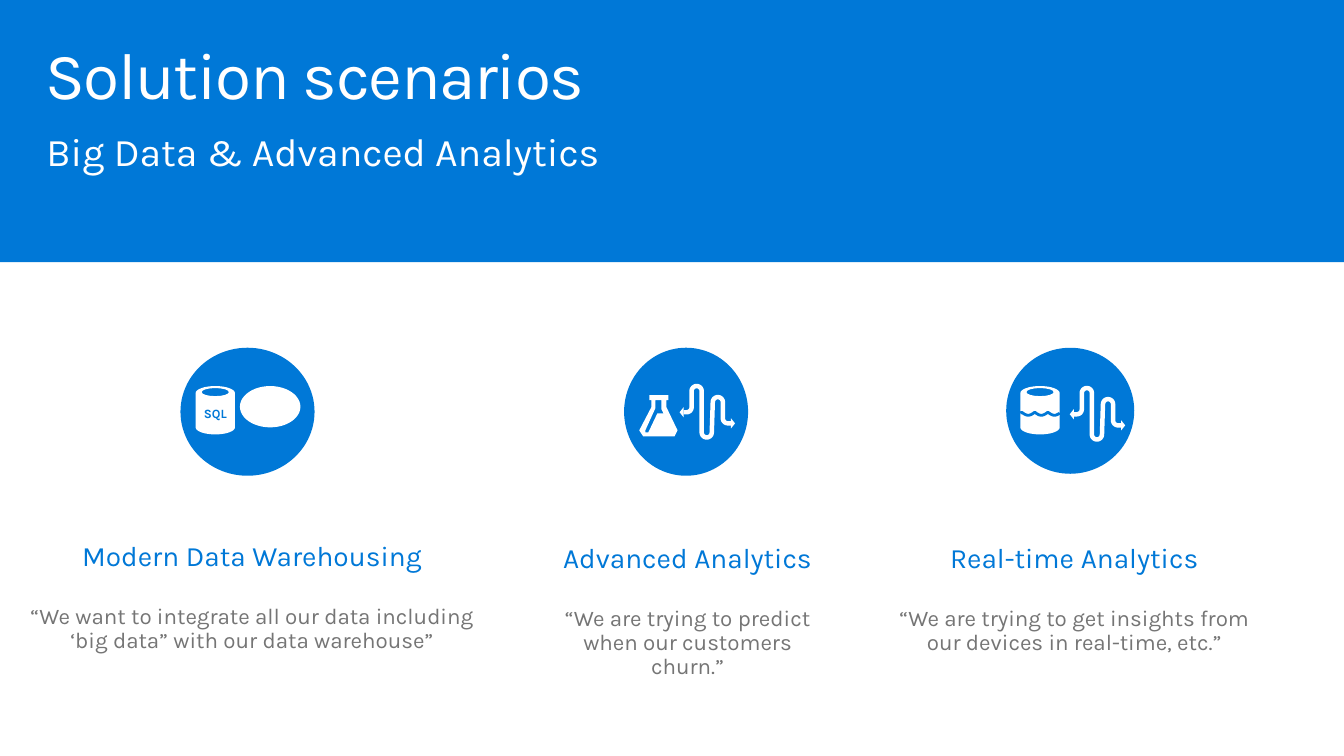
from math import cos, pi, radians, sin

from lxml.etree import SubElement
from pptx import Presentation
from pptx.dml.color import RGBColor
from pptx.enum.shapes import MSO_SHAPE
from pptx.enum.text import MSO_ANCHOR, MSO_AUTO_SIZE, PP_ALIGN
from pptx.oxml.ns import qn
from pptx.util import Inches, Pt

FONT = "Karla"
BLUE, WHITE, GRAY = "0078D7", "FFFFFF", "757575"
BADGE_TOP, BADGE_MIDDLE = 3.45, 0.38


def paint(color_format, color):
    color_format.rgb = RGBColor.from_string(color)


def add_preset(slide, preset, box, color):
    shape = slide.shapes.add_shape(preset, *map(Inches, box))
    shape.shadow.inherit = False
    shape.fill.solid()
    paint(shape.fill.fore_color, color)
    shape.line.fill.background()
    return shape


def arc(center_x, center_y, radius_x, radius_y, start, end, steps=16):
    """Points along an arc; angles in degrees, clockwise from the right."""
    angles = [radians(start + (end - start) * i / steps) for i in range(steps + 1)]
    return [(center_x + radius_x * cos(a), center_y + radius_y * sin(a)) for a in angles]


def add_outline(slide, left, top, contours, fill=None, line=None, weight=0):
    """Filled contours (inner ones are holes), or an open line without fill."""
    builder = None
    for contour in contours:
        points = [(Inches(x), Inches(y)) for x, y in contour]
        if builder is None:
            builder = slide.shapes.build_freeform(*points[0])
        else:
            builder.move_to(*points[0])
        builder.add_line_segments(points[1:], close=fill is not None)
    shape = builder.convert_to_shape(Inches(left), Inches(top))
    shape.shadow.inherit = False
    if fill:
        shape.fill.solid()
        paint(shape.fill.fore_color, fill)
        shape.line.fill.background()
    else:
        shape.fill.background()
        paint(shape.line.color, line)
        shape.line.width = Pt(weight)
    return shape


def add_cylinder(slide, left, top):
    body = arc(0.195, 0.07, 0.195, 0.07, 180, 360) + arc(0.195, 0.41, 0.195, 0.07, 0, 180)
    lid = arc(0.195, 0.06, 0.135, 0.04, 0, 360)
    return add_outline(slide, left, top, [body, lid], fill=WHITE)


def add_sql_database(slide, left, top):
    frame = add_cylinder(slide, left, top).text_frame
    frame.margin_left = frame.margin_right = frame.margin_bottom = 0
    frame.margin_top = Inches(0.06)
    frame.word_wrap = False
    frame.vertical_anchor = MSO_ANCHOR.MIDDLE
    paragraph = frame.paragraphs[0]
    paragraph.text = "SQL"
    paragraph.alignment = PP_ALIGN.CENTER
    paragraph.font.name, paragraph.font.size, paragraph.font.bold = FONT, Pt(9), True
    paint(paragraph.font.color, BLUE)


def add_data_lake(slide, left, top):
    add_cylinder(slide, left, top)
    wave = [(0.39 * i / 60, 0.26 + 0.03 * abs(sin(pi * (3 * i / 60 - 0.1)))) for i in range(61)]
    add_outline(slide, left, top, [wave], line=BLUE, weight=2)


def add_flask(slide, left, top):
    glass = [(0.1, 0), (0.29, 0), (0.29, 0.05), (0.27, 0.05), (0.27, 0.12), (0.38, 0.35),
             (0.35, 0.41), (0.04, 0.41), (0, 0.35), (0.12, 0.12), (0.12, 0.05), (0.1, 0.05)]
    inside = [(0.16, 0.05), (0.16, 0.13), (0.06, 0.35), (0.06, 0.37), (0.09, 0.37),
              (0.18, 0.18), (0.24, 0.18), (0.22, 0.14), (0.22, 0.05)]
    add_outline(slide, left, top, [glass, inside], fill=WHITE)


def add_stream(slide, left, top):
    bends = [(0.07, 0.23, 90, 0), (0.17, 0.07, 180, 360), (0.27, 0.48, 180, 0),
             (0.38, 0.18, 180, 360), (0.48, 0.34, 180, 90)]
    curve = [point for x, y, start, end in bends for point in arc(x, y, 0.05, 0.05, start, end)]
    curve = [(0.04, 0.28), *curve, (0.51, 0.39)]
    add_outline(slide, left, top, [curve], line=WHITE, weight=3.2)
    arrowheads = [[(tip, y), (base, y - 0.05), (base, y + 0.05)]
                  for tip, base, y in ((0, 0.04, 0.28), (0.55, 0.51, 0.39))]
    add_outline(slide, left, top, arrowheads, fill=WHITE)


def add_plain_oval(slide, left, top):
    add_preset(slide, MSO_SHAPE.OVAL, (left, top, 0.6, 0.41), WHITE)


def fill_placeholder(placeholder, box, lines):
    """Each line is text, size, color, alignment, space after."""
    placeholder.left, placeholder.top, placeholder.width, placeholder.height = map(Inches, box)
    frame = placeholder.text_frame
    frame.margin_left = frame.margin_right = Inches(0.16)
    frame.margin_top = frame.margin_bottom = Inches(0.1)
    frame.word_wrap = True
    frame.auto_size = MSO_AUTO_SIZE.NONE
    frame.vertical_anchor = MSO_ANCHOR.TOP
    for index, (text, size, color, alignment, space_after) in enumerate(lines):
        paragraph = frame.add_paragraph() if index else frame.paragraphs[0]
        paragraph.text = text
        paragraph.alignment = alignment
        paragraph.line_spacing = 0.9
        paragraph.space_before, paragraph.space_after = Pt(0), Pt(space_after)
        properties = paragraph._p.get_or_add_pPr()
        properties.set("marL", "0")
        properties.set("indent", "0")
        SubElement(properties, qn("a:buNone"))
        font = paragraph.font
        font.name, font.size, font.bold = FONT, Pt(size), False
        paint(font.color, color)


def add_header(slide, title, subtitle, box):
    left, top, width, height = box
    band = add_preset(slide, MSO_SHAPE.RECTANGLE, box, BLUE)
    slide.shapes.title.element.addprevious(band.element)
    fill_placeholder(slide.shapes.title, (left + 0.29, top + 0.32, width - 0.58, 0.98),
                     [(title, 47, WHITE, PP_ALIGN.LEFT, 0)])
    run = slide.shapes.title.text_frame.paragraphs[0].runs[0]
    run._r.get_or_add_rPr().set("spc", "-100")
    fill_placeholder(slide.placeholders[1], (left + 0.3, top + 1.22, width - 0.3, 1.08),
                     [(subtitle, 28, WHITE, PP_ALIGN.LEFT, 6)])


def add_scenario(slide, placeholder, box, heading, quote, badge, icons):
    left, top, width, height = box
    badge_left, badge_width, badge_height = badge
    badge_left += left
    add_preset(slide, MSO_SHAPE.OVAL, (badge_left, BADGE_TOP, badge_width, badge_height), BLUE)
    for add_icon, offset_x, offset_y in icons:
        add_icon(slide, badge_left + offset_x, BADGE_TOP + offset_y)
    fill_placeholder(placeholder, (left, top, width, height),
                     [(heading, 20, BLUE, PP_ALIGN.CENTER, 23),
                      (quote, 16, GRAY, PP_ALIGN.CENTER, 3)])


def main():
    presentation = Presentation()
    presentation.slide_width, presentation.slide_height = Inches(13.33), Inches(7.5)
    slide = presentation.slides.add_slide(presentation.slide_layouts.get_by_name("Comparison"))
    add_header(slide, "Solution scenarios", "Big Data & Advanced Analytics", (0, 0, 13.33, 2.6))
    scenarios = [
        ((0, 5.28, 5, 1.66), "Modern Data Warehousing",
         "“We want to integrate all our data including ‘big data” with our data warehouse”",
         (1.79, 1.33, 1.27),
         [(add_sql_database, 0.15, BADGE_MIDDLE), (add_plain_oval, 0.59, BADGE_MIDDLE)]),
        ((5.25, 5.3, 3.14, 1.69), "Advanced Analytics",
         "“We are trying to predict when our customers churn.”",
         (0.94, 1.23, 1.27),
         [(add_flask, 0.15, 0.47), (add_stream, 0.55, 0.36)]),
        ((8.65, 5.3, 4.01, 1.9), "Real-time Analytics",
         "“We are trying to get insights from our devices in real-time, etc.”",
         (1.33, 1.27, 1.25),
         [(add_data_lake, 0.14, BADGE_MIDDLE), (add_stream, 0.63, BADGE_MIDDLE)]),
    ]
    for index, scenario in enumerate(scenarios, start=2):
        add_scenario(slide, slide.placeholders[index], *scenario)
    presentation.save("out.pptx")


if __name__ == "__main__":
    main()
